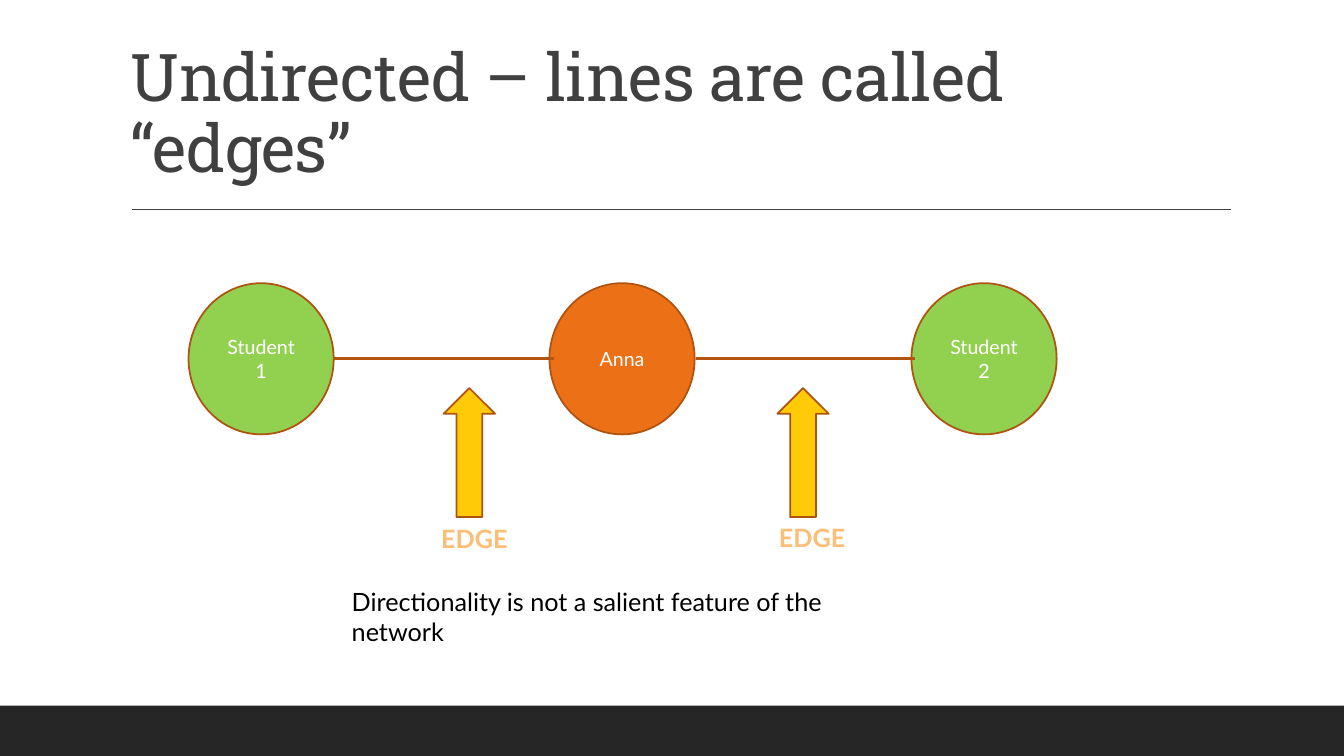
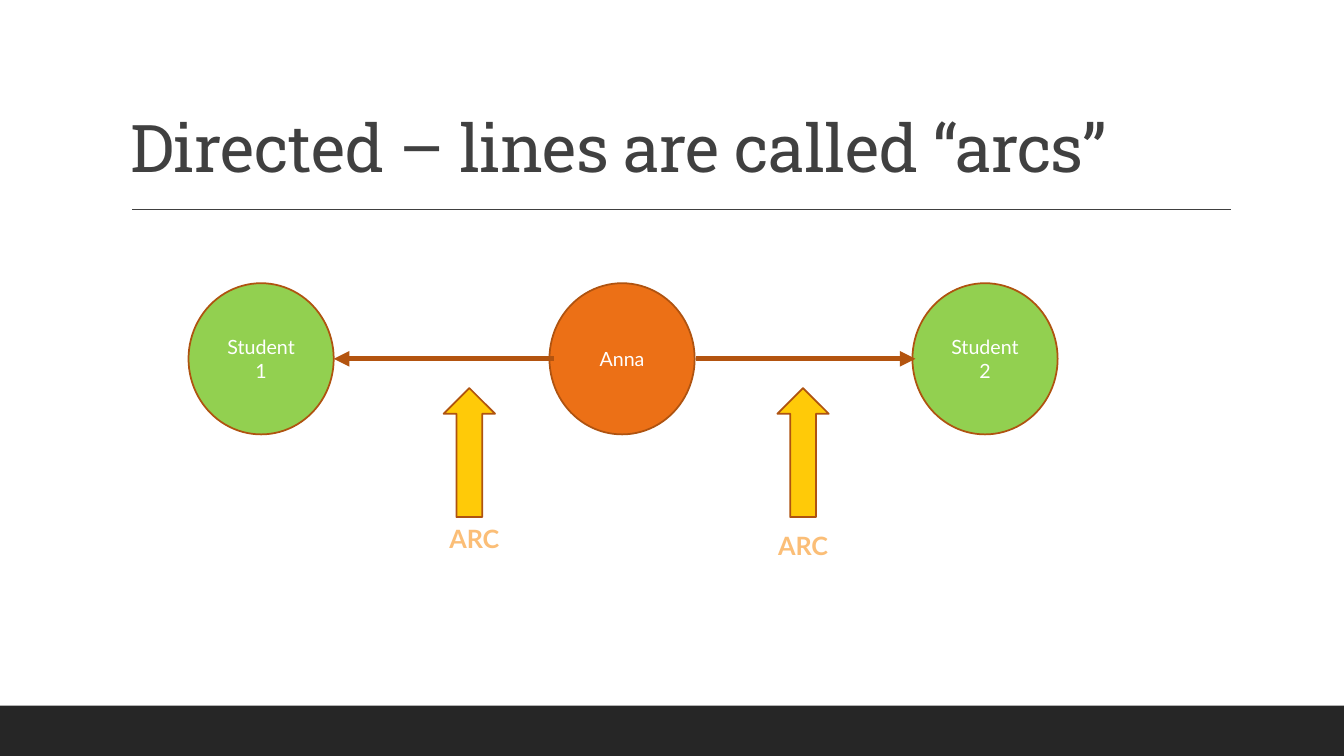
"""Build two slides that contrast undirected edges with directed arcs."""
from dataclasses import dataclass
from typing import Any

from lxml import etree
from pptx import Presentation
from pptx.dml.color import RGBColor
from pptx.enum.shapes import MSO_CONNECTOR, MSO_SHAPE
from pptx.enum.text import MSO_ANCHOR, PP_ALIGN
from pptx.oxml.ns import qn
from pptx.util import Inches, Pt

RECT, OVAL, ARROW = MSO_SHAPE.RECTANGLE, MSO_SHAPE.OVAL, MSO_SHAPE.UP_ARROW
STRAIGHT = MSO_CONNECTOR.STRAIGHT
LEFT, CENTER = PP_ALIGN.LEFT, PP_ALIGN.CENTER
TOP, MIDDLE, BOTTOM = MSO_ANCHOR.TOP, MSO_ANCHOR.MIDDLE, MSO_ANCHOR.BOTTOM

DARK, GREY, WHITE, BLACK = "262626", "404040", "FFFFFF", "000000"
GREEN, ORANGE, GOLD, PEACH = "92D050", "EC7016", "FFCA08", "FBBE77"
RIM, LINK = "AF5310", "B3540F"

HEAD = {"name": "Roboto Slab", "size": Pt(47)}
NODE = {"name": "Lato", "size": Pt(14)}
BODY = {"name": "Lato", "size": Pt(18)}
BOLD = {**BODY, "bold": True}

AXIS = 3.56


@dataclass
class Box:
    left: float
    top: float
    width: float
    height: float


@dataclass
class Node:
    text: str
    left: float
    fill: str


@dataclass
class Line:
    start: float
    stop: float
    y: float
    color: str
    weight: float
    end: str = ""


@dataclass
class Scene:
    title: str
    term: str
    weight: float
    ends: tuple[str, str]
    last: float
    tags: tuple[tuple[float, float], ...]
    note: str = ""


SCENES = (
    Scene("Undirected – lines are called “edges”", "EDGE", 2, ("", ""),
          9.04, ((3.81, 5.14), (7.16, 5.13)),
          "Directionality is not a salient feature of the network"),
    Scene("Directed – lines are called “arcs”", "ARC", 3.75,
          ("headEnd", "tailEnd"), 9.05, ((3.81, 5.14), (7.07, 5.21))),
)


def rgb(code: str) -> RGBColor:
    """Turn a hex string into a colour."""
    return RGBColor.from_string(code)


def area(box: Box) -> tuple:
    """Give the box as lengths."""
    return tuple(Inches(n) for n in (box.left, box.top, box.width, box.height))


def write(shape: Any, text: str, style: dict, color: str,
          align: Any, anchor: Any) -> Any:
    """Put one styled paragraph in a shape and return it."""
    frame = shape.text_frame
    frame.word_wrap = True
    frame.vertical_anchor = anchor
    para = frame.paragraphs[0]
    para.alignment = align
    run = para.add_run()
    run.text = text
    for key, value in style.items():
        setattr(run.font, key, value)
    run.font.color.rgb = rgb(color)
    return para


def label(slide: Any, box: Box, text: str, style: dict, color: str,
          align: Any = LEFT, anchor: Any = TOP) -> Any:
    """Add a text box and return its paragraph."""
    shape = slide.shapes.add_textbox(*area(box))
    return write(shape, text, style, color, align, anchor)


def solid(slide: Any, kind: Any, box: Box, fill: str, rim: str = "") -> Any:
    """Add a filled shape with an optional outline."""
    shape = slide.shapes.add_shape(kind, *area(box))
    shape.shadow.inherit = False
    shape.fill.solid()
    shape.fill.fore_color.rgb = rgb(fill)
    if rim:
        shape.line.color.rgb = rgb(rim)
        shape.line.width = Pt(1.25)
    else:
        shape.line.fill.background()
    return shape


def draw(slide: Any, line: Line) -> None:
    """Add a level line, with an arrowhead if an end is named."""
    y = Inches(line.y)
    link = slide.shapes.add_connector(
        STRAIGHT, Inches(line.start), y, Inches(line.stop), y)
    link.line.color.rgb = rgb(line.color)
    link.line.width = Pt(line.weight)
    if line.end:
        etree.SubElement(link.line._get_or_add_ln(), qn(f"a:{line.end}"),
                         type="triangle")
    etree.SubElement(link._element.spPr, qn("a:effectLst"))


def frame(slide: Any, title: str) -> None:
    """Add the band, rule and title that all slides share."""
    solid(slide, RECT, Box(0, 7, 13.33, 0.5), DARK)
    draw(slide, Line(1.31, 12.21, 2.08, GREY, 1))
    para = label(slide, Box(1.2, 0.31, 11, 1.59), title, HEAD, GREY,
                 anchor=BOTTOM)
    para.line_spacing = 0.9
    para.runs[0].font._element.set("spc", "-50")


def build(slide: Any, scene: Scene) -> None:
    """Draw one network with its marked lines."""
    frame(slide, scene.title)
    nodes = (Node("Anna", 5.45, ORANGE), Node("Student 1", 1.87, GREEN),
             Node("Student 2", scene.last, GREEN))
    for node in nodes:
        disc = solid(slide, OVAL, Box(node.left, AXIS - 0.75, 1.44, 1.5),
                     node.fill, RIM)
        write(disc, node.text, NODE, WHITE, CENTER, MIDDLE)
    for start, end in zip((3.31, 6.9), scene.ends):
        draw(slide, Line(start, start + 2.18, AXIS, LINK, scene.weight, end))
    if scene.note:
        label(slide, Box(3.39, 5.77, 5.62, 0.4), scene.note, BODY, BLACK)
    for left in (4.4, 7.71):
        solid(slide, ARROW, Box(left, 3.85, 0.51, 1.28), GOLD, RIM)
    for left, top in scene.tags:
        label(slide, Box(left, top, 1.79, 0.42), scene.term, BOLD, PEACH,
              CENTER)


def main() -> None:
    """Build and save the deck."""
    deck = Presentation()
    deck.slide_width, deck.slide_height = Inches(13.33), Inches(7.5)
    for scene in SCENES:
        build(deck.slides.add_slide(deck.slide_layouts[6]), scene)
    deck.save("out.pptx")


main()
